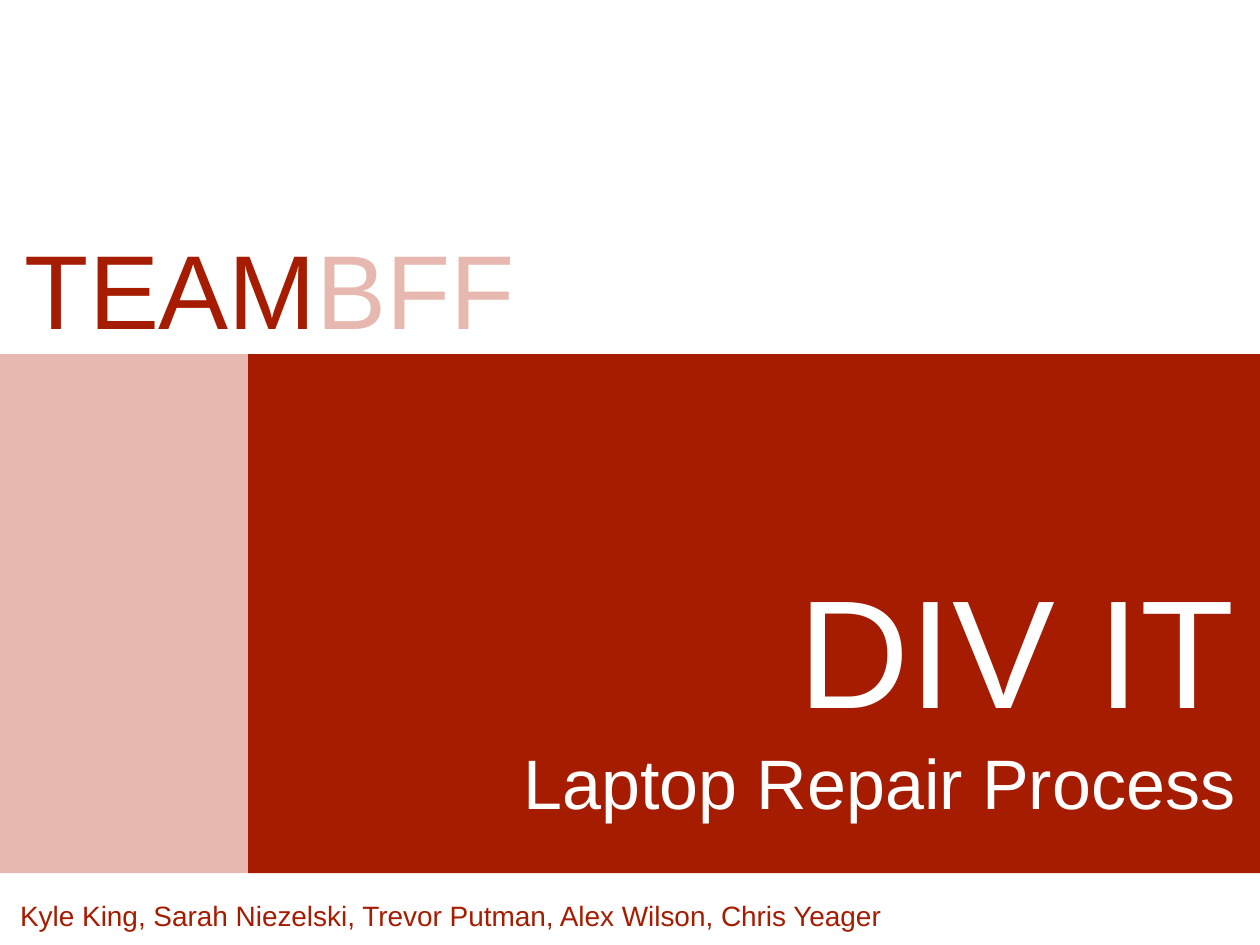
from pptx import Presentation
from pptx.dml.color import RGBColor
from pptx.enum.shapes import MSO_SHAPE as Shape
from pptx.enum.text import MSO_ANCHOR as Anchor, PP_ALIGN as Align
from pptx.util import Inches, Pt

RED, PINK, WHITE = "A61C00", "E6B8AF", "FFFFFF"


def color(value):
    return RGBColor.from_string(value)


def add_run(paragraph, text, size, value):
    run = paragraph.add_run()
    run.text = text
    run.font.name = "Arial"
    run.font.size = Pt(size)
    run.font.color.rgb = color(value)


presentation = Presentation()
presentation.slide_width = Inches(10)
presentation.slide_height = Inches(7.5)
slide = presentation.slides.add_slide(presentation.slide_layouts[5])

# Color bands
for left, width, fill in [(-0.02, 1.99, PINK), (1.97, 8.04, RED)]:
    band = slide.shapes.add_shape(
        Shape.RECTANGLE, Inches(left), Inches(2.81), Inches(width), Inches(4.12))
    band.shadow.inherit = False
    band.fill.solid()
    band.fill.fore_color.rgb = color(fill)
    band.line.fill.background()

# Team name and members
text_boxes = [
    (0.1, 1.68, 7.13, 1.4, 0.1, 60, [("TEAM", RED), ("BFF", PINK)]),
    (0, 7.03, 9.81, 0.44, 0.16, 16,
     [("Kyle King, Sarah Niezelski, Trevor Putman, Alex Wilson, Chris Yeager", RED)]),
]
for left, top, width, height, inset, size, runs in text_boxes:
    box = slide.shapes.add_textbox(
        Inches(left), Inches(top), Inches(width), Inches(height))
    frame = box.text_frame
    frame.word_wrap = True
    frame.margin_left = Inches(inset)
    frame.margin_right = frame.margin_top = frame.margin_bottom = Inches(0.1)
    for text, value in runs:
        add_run(frame.paragraphs[0], text, size, value)

# Title, brought in front of the bands
title = slide.shapes.title
title.left, title.top = Inches(0.73), Inches(4.02)
title.width, title.height = Inches(9.17), Inches(2.9)
slide.shapes._spTree.append(title._element)
frame = title.text_frame
frame.word_wrap = True
frame.vertical_anchor = Anchor.MIDDLE
frame.margin_left = frame.margin_right = Inches(0.1)
frame.margin_top = frame.margin_bottom = Inches(0.1)
frame.add_paragraph()
title_lines = [("DIV IT", 88), ("Laptop Repair Process", 40)]
for paragraph, (text, size) in zip(frame.paragraphs, title_lines):
    paragraph.alignment = Align.RIGHT
    paragraph.space_before = Pt(0)
    add_run(paragraph, text, size, WHITE)

presentation.save("out.pptx")
